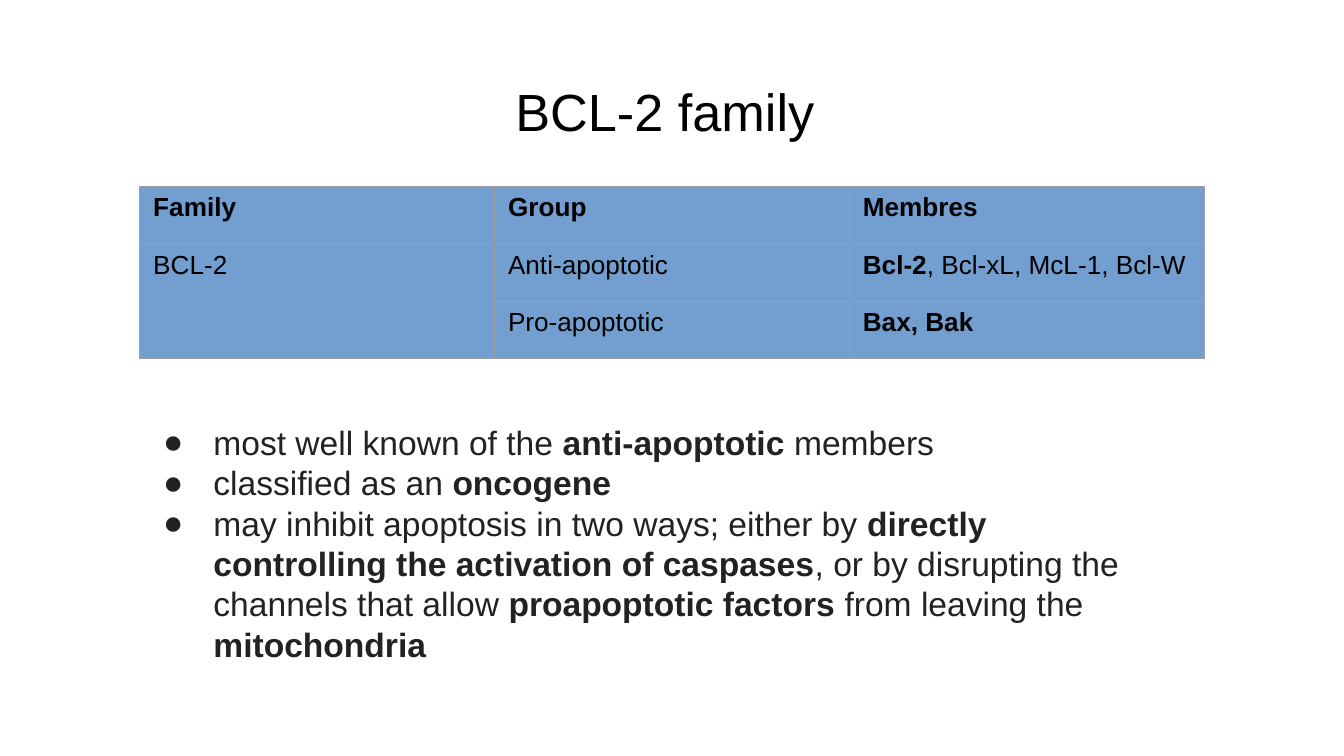
from pptx import Presentation
from pptx.dml.color import RGBColor
from pptx.enum.text import PP_ALIGN
from pptx.oxml import parse_xml
from pptx.oxml.ns import nsdecls
from pptx.util import Pt

PX = 4572
BLACK = RGBColor(0, 0, 0)
INK = RGBColor(0x22, 0x22, 0x22)
BLUE = RGBColor(0x72, 0x9F, 0xCF)
GREY = RGBColor(0x9E, 0x9E, 0x9E)

ROWS = [
    [[("Family", True)], [("Group", True)], [("Membres", True)]],
    [
        [("BCL-2", False)],
        [("Anti-apoptotic", False)],
        [("Bcl-2", True), (", Bcl-xL, McL-1, Bcl-W", False)],
    ],
    [[], [("Pro-apoptotic", False)], [("Bax, Bak", True)]],
]
FACTS = [
    [
        ("most well known of the ", False),
        ("anti-apoptotic ", True),
        ("members", False),
    ],
    [("classified as an ", False), ("oncogene", True)],
    [
        ("may inhibit apoptosis in two ways; either by ", False),
        ("directly controlling the activation of caspases", True),
        (", or by disrupting the channels that allow ", False),
        ("proapoptotic factors", True),
        (" from leaving the ", False),
        ("mitochondria", True),
    ],
]


def scale(*box):
    return [n * PX for n in box]


def write(para, parts, size, color):
    font = para.font
    font.name, font.size, font.color.rgb = "Arial", Pt(size), color
    for text, bold in parts:
        run = para.add_run()
        run.text = text
        run.font.bold = bold


def add_text(slide, box):
    frame = slide.shapes.add_textbox(*scale(*box)).text_frame
    frame.word_wrap = True
    frame.margin_left = frame.margin_right = 20 * PX
    frame.margin_top = frame.margin_bottom = 20 * PX
    return frame


def add_title(slide, box):
    para = add_text(slide, box).paragraphs[0]
    para.alignment = PP_ALIGN.CENTER
    write(para, [("BCL-2 family ", False)], 28, BLACK)


def add_bullet(para):
    props = para._p.get_or_add_pPr()
    props.set("marL", str(100 * PX))
    props.set("indent", str(-75 * PX))
    marks = [
        f'<a:buClr {nsdecls("a")}><a:srgbClr val="{INK}"/></a:buClr>',
        f'<a:buSzPts {nsdecls("a")} val="1800"/>',
        f'<a:buFont {nsdecls("a")} typeface="Arial"/>',
        f'<a:buChar {nsdecls("a")} char="●"/>',
    ]
    for i, mark in enumerate(marks):
        props.insert(i, parse_xml(mark))


def add_facts(slide, box):
    frame = add_text(slide, box)
    for i, parts in enumerate(FACTS):
        para = frame.add_paragraph() if i else frame.paragraphs[0]
        write(para, parts, 18, INK)
        add_bullet(para)


def add_edges(cell):
    props = cell._tc.get_or_add_tcPr()
    for i, side in enumerate("LRTB"):
        edge = (
            f'<a:ln{side} {nsdecls("a")} w="{Pt(0.75)}"><a:solidFill>'
            f'<a:srgbClr val="{GREY}"/></a:solidFill></a:ln{side}>'
        )
        props.insert(i, parse_xml(edge))


def add_grid(slide, box):
    rows, cols = len(ROWS), len(ROWS[0])
    table = slide.shapes.add_table(rows, cols, *scale(*box)).table
    table.first_row = table.horz_banding = False
    for r, row in enumerate(ROWS):
        for c, parts in enumerate(row):
            cell = table.cell(r, c)
            cell.fill.solid()
            cell.fill.fore_color.rgb = BLUE
            add_edges(cell)
            write(cell.text_frame.paragraphs[0], parts, 14, BLACK)
    table.cell(1, 0).merge(table.cell(2, 0))


def main():
    deck = Presentation()
    deck.slide_width, deck.slide_height = scale(2000, 1125)
    slide = deck.slides.add_slide(deck.slide_layouts[6])
    add_title(slide, (68, 98, 1864, 126))
    add_facts(slide, (198, 608, 1560, 440))
    add_grid(slide, (208, 277, 1584, 257))
    deck.save("out.pptx")


if __name__ == "__main__":
    main()
